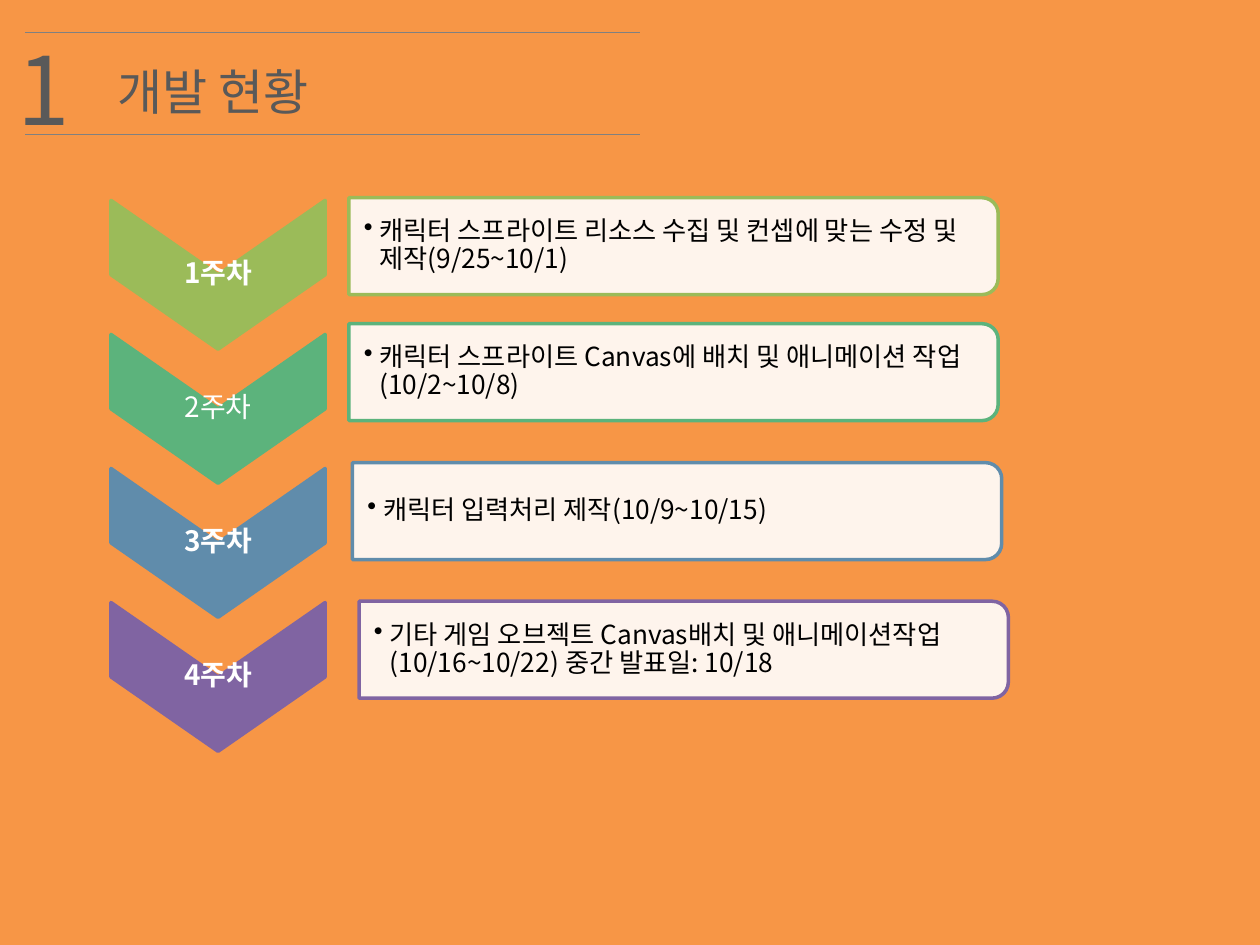
from dataclasses import dataclass

from lxml import etree
from pptx import Presentation
from pptx.dml.color import RGBColor
from pptx.enum.shapes import MSO_CONNECTOR, MSO_SHAPE
from pptx.enum.text import MSO_ANCHOR, MSO_AUTO_SIZE, PP_ALIGN
from pptx.oxml.ns import qn
from pptx.util import Pt

RECTANGLE = MSO_SHAPE.RECTANGLE
CHEVRON = MSO_SHAPE.CHEVRON
ROUNDED_SIDE = MSO_SHAPE.ROUND_2_SAME_RECTANGLE
STRAIGHT = MSO_CONNECTOR.STRAIGHT
TOP, MIDDLE = MSO_ANCHOR.TOP, MSO_ANCHOR.MIDDLE
LEFT, CENTER = PP_ALIGN.LEFT, PP_ALIGN.CENTER
GROW = MSO_AUTO_SIZE.SHAPE_TO_FIT_TEXT


@dataclass(frozen=True)
class Theme:
    font: str = "Noto Sans CJK KR"
    background: str = "F79646"
    heading: str = "595959"
    rule: str = "808080"
    panel: str = "FFFFFF"
    label: str = "FFFFFF"
    body: str = "000000"
    weeks: tuple = ("9BBB59", "5CB37C", "608CAB", "8064A2")
    number_size: float = 54
    title_size: float = 28
    label_size: float = 16
    body_size: float = 15


class SlideBuilder:
    def __init__(self, slide, theme):
        self.slide = slide
        self.theme = theme

    def shape(self, kind, left, top, width, height, fill, line=None, opacity=None):
        """Add a filled preset shape."""
        shape = self.slide.shapes.add_shape(kind, Pt(left), Pt(top), Pt(width), Pt(height))
        shape.shadow.inherit = False
        shape.fill.solid()
        shape.fill.fore_color.rgb = RGBColor.from_string(fill)
        if opacity is not None:
            color = shape.fill._xPr.find(".//" + qn("a:srgbClr"))
            etree.SubElement(color, qn("a:alpha"), val=str(opacity * 1000))
        if line:
            shape.line.color.rgb = RGBColor.from_string(line)
            shape.line.width = Pt(2)
        else:
            shape.line.fill.background()
        return shape

    def turned_shape(self, kind, left, top, width, height, fill, line, opacity=None):
        """Add a shape turned by 90 degrees that covers the given area."""
        shift = (width - height) / 2
        shape = self.shape(kind, left + shift, top - shift, height, width, fill, line, opacity)
        shape.rotation = 90

    def rule(self, left, right, y):
        """Add a thin horizontal line."""
        line = self.slide.shapes.add_connector(STRAIGHT, Pt(left), Pt(y), Pt(right), Pt(y))
        line.line.color.rgb = RGBColor.from_string(self.theme.rule)
        line.line.width = Pt(0.75)
        etree.SubElement(line._element.spPr, qn("a:effectLst"))

    def text(self, text, left, top, width, height, size, color, bold=False,
             frame_format=None, paragraph_format=None, hanging=0, bullet=None):
        """Add a text box with one paragraph."""
        box = self.slide.shapes.add_textbox(Pt(left), Pt(top), Pt(width), Pt(height))
        frame = box.text_frame
        paragraph = frame.paragraphs[0]
        run = paragraph.add_run()
        run.text = text
        font_format = {"name": self.theme.font, "size": Pt(size), "bold": bold}
        for target, values in (
            (frame, {"word_wrap": True, **(frame_format or {})}),
            (paragraph, paragraph_format or {}),
            (run.font, font_format),
        ):
            for name, value in values.items():
                setattr(target, name, value)
        run.font.color.rgb = RGBColor.from_string(color)
        etree.SubElement(run._r.get_or_add_rPr(), qn("a:ea"), typeface=self.theme.font)
        if hanging:
            properties = paragraph._p.get_or_add_pPr()
            properties.set("marL", str(Pt(hanging)))
            properties.set("indent", str(-Pt(hanging)))
            if bullet:
                etree.SubElement(properties, qn("a:buChar"), char=bullet)


# Row layout: chevrons keep an even pitch, panels are placed one by one
CHEVRON_LEFT, CHEVRON_TOP, CHEVRON_PITCH = 63.4, 114.5, 76.6
CHEVRON_WIDTH, CHEVRON_HEIGHT = 122.4, 85
PANEL_WIDTH, PANEL_HEIGHT = 371, 55.4
PANEL_TEXT_WIDTH, PANEL_TEXT_HEIGHT = 368, 49.7

WEEKS = (
    ("1주차", True, 199.4, 113,
     "캐릭터 스프라이트 리소스 수집 및 컨셉에 맞는 수정 및 제작(9/25~10/1)"),
    ("2주차", False, 199.4, 185,
     "캐릭터 스프라이트 Canvas에 배치 및 애니메이션 작업(10/2~10/8)"),
    ("3주차", True, 201.4, 264.4, "캐릭터 입력처리 제작(10/9~10/15)"),
    ("4주차", True, 205.2, 343.6,
     "기타 게임 오브젝트 Canvas배치 및 애니메이션작업(10/16~10/22) 중간 발표일: 10/18"),
)

HEADING_FRAME = {"vertical_anchor": TOP, "auto_size": GROW}
LABEL_FRAME = {"vertical_anchor": MIDDLE, "margin_left": Pt(0.8), "margin_right": Pt(0.8),
               "margin_top": Pt(0.8), "margin_bottom": Pt(0.8)}
PANEL_FRAME = {**LABEL_FRAME, "margin_left": Pt(8.5)}
LABEL_PARAGRAPH = {"alignment": CENTER, "line_spacing": 0.9}
PANEL_PARAGRAPH = {"alignment": LEFT, "line_spacing": 0.9, "level": 1}


def main():
    theme = Theme()
    presentation = Presentation()
    presentation.slide_width, presentation.slide_height = Pt(720), Pt(540)
    slide = presentation.slides.add_slide(presentation.slide_layouts[6])
    builder = SlideBuilder(slide, theme)

    # Background
    builder.shape(RECTANGLE, 0, 0, 722, 540, theme.background)

    # Heading between two rules
    builder.text("개발 현황", 59.8, 31.7, 323.3, 41, theme.title_size, theme.heading,
                 frame_format=HEADING_FRAME, hanging=27)
    builder.rule(14.4, 365.8, 18.5)
    builder.text("1", 2.9, 14.4, 56.9, 72.7, theme.number_size, theme.heading,
                 frame_format=HEADING_FRAME, hanging=27)
    builder.rule(14.4, 365.8, 77)

    # One chevron and one panel per week
    for index, (label, bold, left, top, task) in enumerate(WEEKS):
        color = theme.weeks[index]
        chevron_area = (CHEVRON_LEFT, CHEVRON_TOP + index * CHEVRON_PITCH,
                        CHEVRON_WIDTH, CHEVRON_HEIGHT)
        builder.turned_shape(CHEVRON, *chevron_area, color, color)
        builder.text(label, *chevron_area, theme.label_size, theme.label, bold,
                     LABEL_FRAME, LABEL_PARAGRAPH)
        builder.turned_shape(ROUNDED_SIDE, left, top, PANEL_WIDTH, PANEL_HEIGHT,
                             theme.panel, color, opacity=90)
        text_top = top + (PANEL_HEIGHT - PANEL_TEXT_HEIGHT) / 2
        builder.text(task, left, text_top, PANEL_TEXT_WIDTH, PANEL_TEXT_HEIGHT,
                     theme.body_size, theme.body, False, PANEL_FRAME, PANEL_PARAGRAPH,
                     hanging=9, bullet="•")

    presentation.save("out.pptx")


if __name__ == "__main__":
    main()
